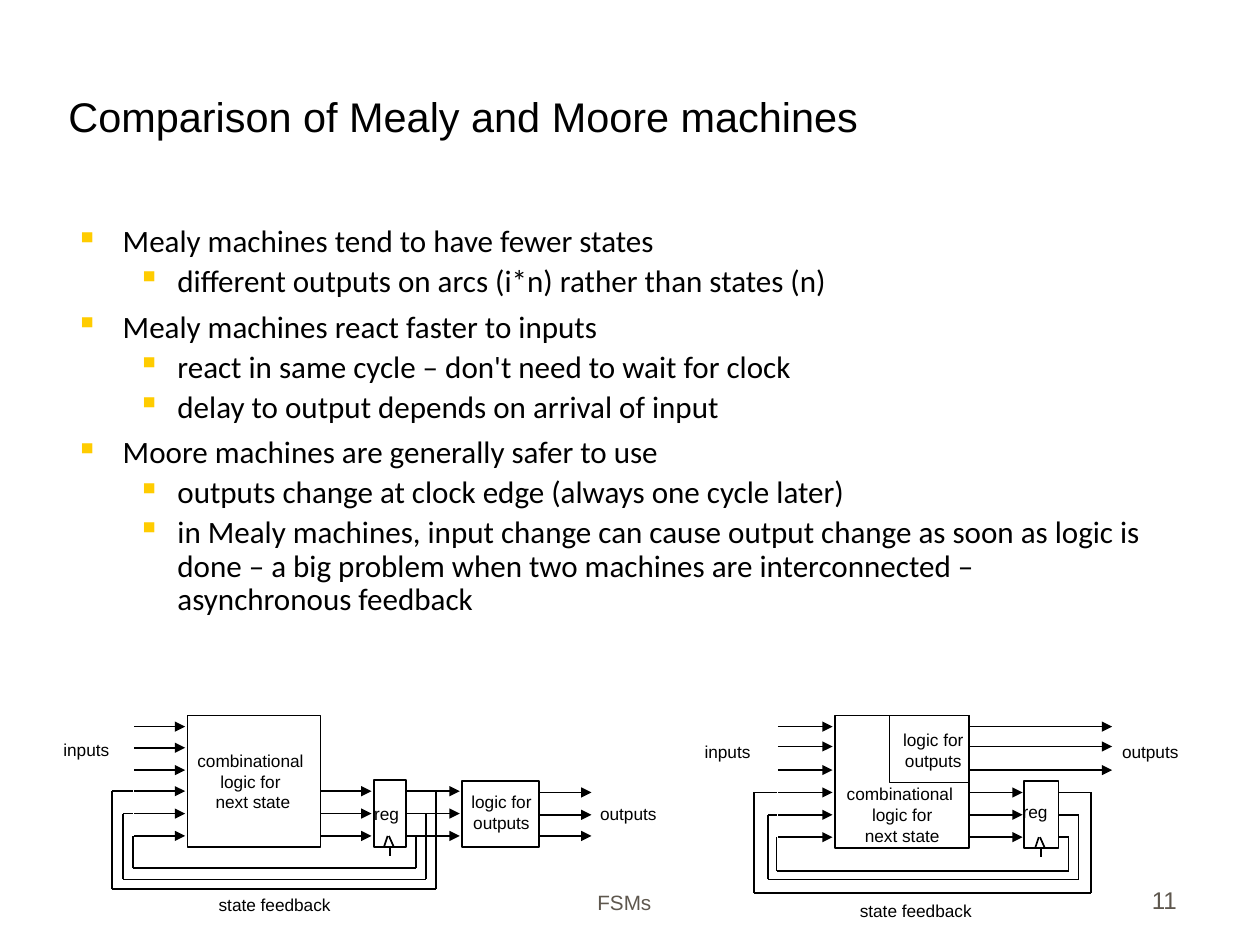
from itertools import pairwise

from lxml import etree
from pptx import Presentation
from pptx.dml.color import RGBColor
from pptx.enum.shapes import MSO_CONNECTOR, MSO_SHAPE
from pptx.enum.text import MSO_ANCHOR, PP_ALIGN
from pptx.oxml.ns import qn
from pptx.util import Inches, Pt

LEFT, MID, RIGHT = PP_ALIGN.LEFT, PP_ALIGN.CENTER, PP_ALIGN.RIGHT
TOP, BOTTOM = MSO_ANCHOR.TOP, MSO_ANCHOR.BOTTOM
RECT, LINE = MSO_SHAPE.RECTANGLE, MSO_CONNECTOR.STRAIGHT
BLACK, WHITE, GREY, GOLD = "000000", "FFFFFF", "5E574E", "FFCC00"

POINTS = [
    (0, "Mealy machines tend to have fewer states"),
    (1, "different outputs on arcs (i*n) rather than states (n)"),
    (0, "Mealy machines react faster to inputs"),
    (1, "react in same cycle – don't need to wait for clock"),
    (1, "delay to output depends on arrival of input"),
    (0, "Moore machines are generally safer to use"),
    (1, "outputs change at clock edge (always one cycle later)"),
    (1, "in Mealy machines, input change can cause output change as soon as "
        "logic is done – a big problem when two machines are interconnected – "
        "\nasynchronous feedback"),
]


def color(code):
    return RGBColor.from_string(code)


class Board:
    """Holds the slide, the shapes being filled and the common style."""

    def __init__(self, slide):
        self.slide = slide
        self.shapes = slide.shapes

    def group(self):
        self.shapes = self.slide.shapes.add_group_shape().shapes

    def style(self, par, size, font="Arial", code=BLACK):
        for run in par.runs:
            run.font.size = Pt(size)
            run.font.name = font
            run.font.color.rgb = color(code)

    def frame(self, shape, anchor, pad):
        frame = shape.text_frame
        frame.word_wrap = True
        frame.vertical_anchor = anchor
        frame.margin_left = frame.margin_right = Inches(pad[0])
        frame.margin_top = frame.margin_bottom = Inches(pad[1])
        return frame

    def title(self, text, *at):
        shape = self.slide.shapes.title
        shape.left, shape.top, shape.width, shape.height = map(Inches, at)
        par = self.frame(shape, BOTTOM, (0.1, 0.05)).paragraphs[0]
        par.text = text
        par.alignment = LEFT
        self.style(par, 24)

    def footer(self, text, align, size, *at):
        shape = self.shapes.add_textbox(*map(Inches, at))
        par = self.frame(shape, BOTTOM, (0.1, 0.05)).paragraphs[0]
        par.text = text
        par.alignment = align
        self.style(par, size, code=GREY)

    def label(self, text, x, y, w, h=0.58, align=LEFT):
        shape = self.shapes.add_textbox(*map(Inches, (x, y, w, h)))
        par = self.frame(shape, TOP, (0.02, 0.03)).paragraphs[0]
        par.text = text
        par.alignment = align
        par.line_spacing = Pt(12)
        self.style(par, 10)

    def bullets(self, items, *at):
        shape = self.shapes.add_textbox(*map(Inches, at))
        frame = self.frame(shape, TOP, (0.1, 0.05))
        for i, (level, text) in enumerate(items):
            par = frame.add_paragraph() if i else frame.paragraphs[0]
            par.text = text
            par.level = level
            par.line_spacing = 0.9
            par.space_before = Pt((7.2, 3.6)[level] if i else 0)
            self.style(par, 18, "Calibri")
            props = par._p.get_or_add_pPr()
            props.set("marL", str(Inches((0.38, 0.82)[level])))
            props.set("indent", str(Inches((-0.38, -0.32)[level])))
            tint = etree.SubElement(props, qn("a:buClr"))
            etree.SubElement(tint, qn("a:srgbClr"), val=GOLD)
            etree.SubElement(props, qn("a:buChar"), char="▪")

    def box(self, *at):
        shape = self.shapes.add_shape(RECT, *map(Inches, at))
        shape.shadow.inherit = False
        shape.fill.solid()
        shape.fill.fore_color.rgb = color(WHITE)
        shape.line.color.rgb = color(BLACK)
        shape.line.width = Pt(1)

    def line(self, start, end, arrow=False):
        link = self.shapes.add_connector(LINE, *map(Inches, start + end))
        link.line.color.rgb = color(BLACK)
        link.line.width = Pt(1)
        if arrow:
            etree.SubElement(link.line._get_or_add_ln(), qn("a:tailEnd"), type="triangle")
        etree.SubElement(link._element.spPr, qn("a:effectLst"))

    def arrows(self, x, end, rows):
        for y in rows:
            self.line((x, y), (end, y), True)

    def loops(self, x, end, rows, turns):
        for y, (far, low, near) in zip(rows, turns):
            route = [(x, y), (far, y), (far, low), (near, low), (near, y), (end, y)]
            for a, b in pairwise(route):
                if a != b:
                    self.line(a, b)

    def clock(self, x, y):
        self.line((x - 0.05, y), (x - 0.02, y - 0.09))
        self.line((x + 0.03, y), (x - 0.01, y - 0.09))
        self.line((x, y), (x, y + 0.07))


def moore(board):
    rows = [5.85, 6.02, 6.2, 6.37, 6.55, 6.73]
    back = rows[3:]
    board.group()
    # Blocks
    board.box(1.51, 5.76, 1.07, 1.06)
    board.box(3.01, 6.28, 0.26, 0.54)
    board.box(3.72, 6.29, 0.62, 0.53)
    # Signals
    board.arrows(1.08, 1.49, rows)
    board.arrows(2.58, 2.99, back)
    board.arrows(3.28, 3.7, back)
    board.arrows(4.34, 4.76, [6.38, 6.56, 6.73])
    board.loops(3.27, 1.07, back,
                [(3.51, 7.16, 0.9), (3.43, 7.08, 0.99), (3.35, 6.99, 1.07)])
    board.clock(3.14, 6.82)
    # Labels
    board.label("inputs", 0.49, 5.92, 0.54)
    board.label("outputs", 4.81, 6.44, 0.64)
    board.label("reg", 2.99, 6.44, 0.42)
    board.label("state feedback", 1.74, 7.17, 1.54, 0.38)
    board.label("combinational \nlogic for \nnext state", 1.5, 6.01, 1.07, 0.92, MID)
    board.label("logic for\noutputs", 3.64, 6.34, 0.79, 0.75, MID)


def mealy(board):
    rows = [5.85, 6.01, 6.2, 6.38, 6.56, 6.74]
    back = rows[3:]
    board.group()
    # Blocks
    board.box(6.72, 5.76, 1.08, 1.07)
    board.box(7.16, 5.76, 0.64, 0.54)
    board.box(8.24, 6.29, 0.28, 0.54)
    # Signals
    board.arrows(6.26, 6.7, rows)
    board.arrows(7.8, 8.95, rows[:3])
    board.arrows(7.8, 8.23, back)
    board.loops(8.52, 6.25, back,
                [(8.78, 7.19, 6.07), (8.68, 7.08, 6.18), (8.6, 7.01, 6.25)])
    board.clock(8.38, 6.83)
    # Labels
    board.label("inputs", 5.65, 5.94, 0.57)
    board.label("outputs", 9.01, 5.94, 0.65)
    board.label("reg", 8.21, 6.42, 0.46)
    board.label("state feedback", 6.9, 7.22, 1.6, 0.38)
    board.label("combinational \nlogic for\nnext state", 6.72, 6.28, 1.08, 0.92, MID)
    board.label("logic for\noutputs", 7.1, 5.84, 0.82, 0.75, MID)


def main():
    deck = Presentation()
    deck.slide_width, deck.slide_height = Inches(10.14), Inches(7.6)
    board = Board(deck.slides.add_slide(deck.slide_layouts[5]))
    # Text
    board.title("Comparison of Mealy and Moore machines", 0.45, 0.25, 8.62, 0.93)
    board.bullets(POINTS, 0.51, 1.77, 9.07, 4.94)
    board.footer("FSMs", MID, 12, 2.59, 6.9, 4.87, 0.51)
    board.footer("11", RIGHT, 14, 7.46, 6.9, 2.11, 0.51)
    # Diagrams
    moore(board)
    mealy(board)
    deck.save("out.pptx")


if __name__ == "__main__":
    main()
